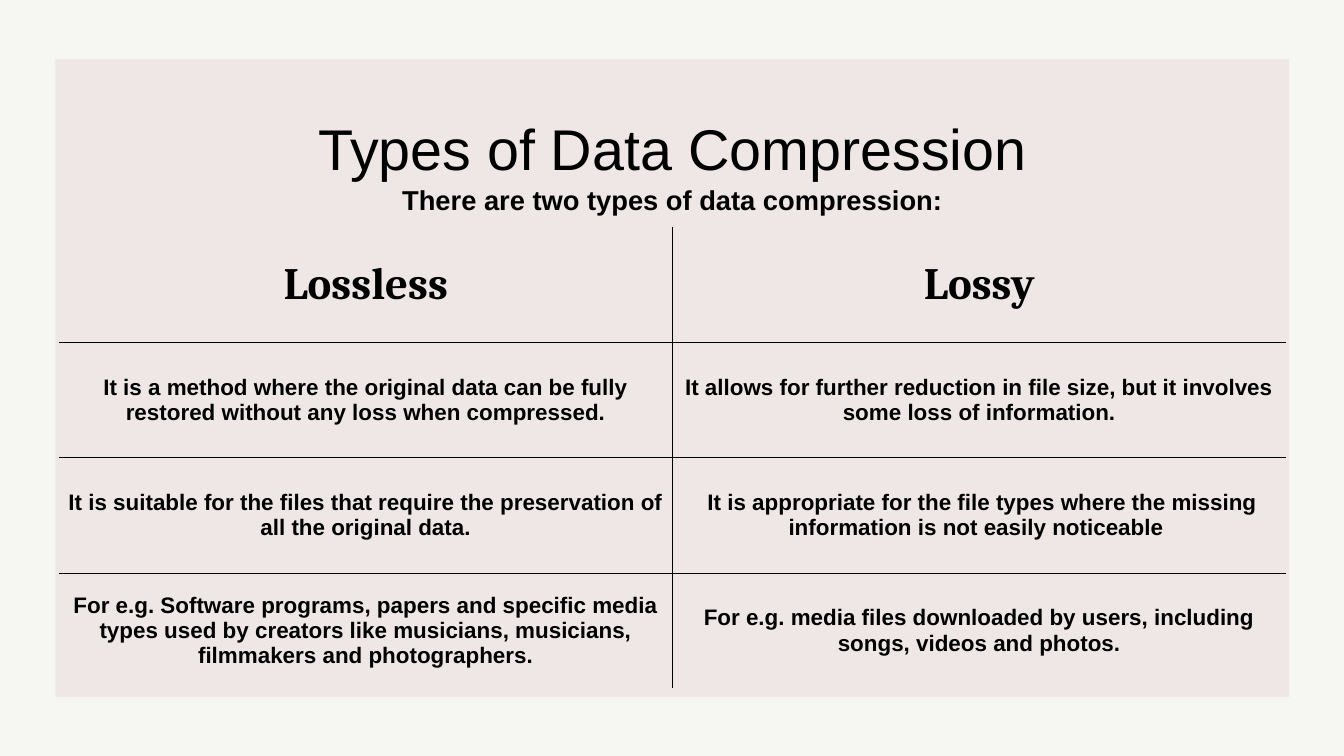
from lxml.etree import SubElement
from pptx import Presentation
from pptx.dml.color import RGBColor
from pptx.enum.shapes import MSO_SHAPE
from pptx.enum.text import MSO_ANCHOR, MSO_AUTO_SIZE, PP_ALIGN
from pptx.oxml.ns import qn
from pptx.util import Pt

PX = 9144  # 100 px to the inch
ROWS = [
    ("Lossless", "Lossy"),
    ("It is a method where the original data can be fully restored without any loss when compressed.",
     "It allows for further reduction in file size, but it involves some loss of information."),
    ("It is suitable for the files that require the preservation of all the original data.",
     " It is appropriate for the file types where the missing information is not easily noticeable "),
    ("For e.g. Software programs, papers and specific media types used by creators like musicians, "
     "musicians, filmmakers and photographers.",
     "For e.g. media files downloaded by users, including songs, videos and photos."),
]


def rgb(value):
    return RGBColor.from_string(value)


def write(tf, text, font, line_spacing=1.0):
    """Fill a text frame with one centred paragraph, its font set from a dict."""
    p = tf.paragraphs[0]
    p.alignment = PP_ALIGN.CENTER
    p.line_spacing = line_spacing
    r = p.add_run()
    r.text = text
    for name, value in font.items():
        setattr(r.font, name, value)
    r.font.color.rgb = rgb("000000")


prs = Presentation()
prs.slide_width, prs.slide_height = 2666 * PX, 1500 * PX
s = prs.slides.add_slide(prs.slide_layouts[5])
s.background.fill.solid()
s.background.fill.fore_color.rgb = rgb("F6F7F2")

panel = s.shapes.add_shape(MSO_SHAPE.RECTANGLE, 110 * PX, 117 * PX, 2447 * PX, 1266 * PX)
panel.shadow.inherit = False
panel.fill.solid()
panel.fill.fore_color.rgb = rgb("EFE7E6")
panel.line.fill.background()

# Heading and subheading, the title in front of the panel
title = s.shapes.title
panel._element.addnext(title._element)
title.left, title.top, title.width, title.height = 225 * PX, 114 * PX, 2217 * PX, 249 * PX
subtitle = s.shapes.add_textbox(225 * PX, 353 * PX, 2217 * PX, 93 * PX)
for sp, anchor, text, font, spacing in [
    (title, MSO_ANCHOR.BOTTOM, "Types of Data Compression",
     {"name": "Arial", "size": Pt(82), "bold": False}, 0.7),
    (subtitle, MSO_ANCHOR.MIDDLE, "There are two types of data compression:",
     {"name": "Arial", "size": Pt(39), "bold": True}, 0.9),
]:
    tf = sp.text_frame
    tf.word_wrap = True
    tf.auto_size = MSO_AUTO_SIZE.NONE
    tf.vertical_anchor = anchor
    tf.margin_left = tf.margin_right = tf.margin_top = tf.margin_bottom = 6 * PX
    write(tf, text, font, spacing)

# Comparison table, ruled only between its cells
table = s.shapes.add_table(4, 2, 117 * PX, 450 * PX, 2434 * PX, 916 * PX).table
last_row, last_col = len(ROWS) - 1, 1
for i, texts in enumerate(ROWS):
    table.rows[i].height = 229 * PX
    upright = 0.45 if i == 0 else 0.96
    above = 0.96 if i == 1 else 0.45
    below = 0.96 if i == 0 else 0.45
    for j, text in enumerate(texts):
        cell = table.cell(i, j)
        cell.vertical_anchor = MSO_ANCHOR.MIDDLE
        cell.margin_left = cell.margin_right = 6 * PX
        cell.margin_top = cell.margin_bottom = 5 * PX
        if i == 0:
            font = {"name": "Cambria", "size": Pt(64), "bold": True}
        else:
            font = {"name": "Arial", "size": Pt(32), "bold": True}
        write(cell.text_frame, text, font)

        borders = {
            "a:lnL": upright if j > 0 else None,
            "a:lnR": upright if j < last_col else None,
            "a:lnT": above if i > 0 else None,
            "a:lnB": below if i < last_row else None,
        }
        tcPr = cell._tc.get_or_add_tcPr()
        for tag, width in borders.items():
            ln = SubElement(tcPr, qn(tag), w=str(Pt(width or 0)))
            if width:
                fill = SubElement(ln, qn("a:solidFill"))
                SubElement(fill, qn("a:srgbClr"), val="000000")
            else:
                SubElement(ln, qn("a:noFill"))
        cell.fill.background()

prs.save("out.pptx")
